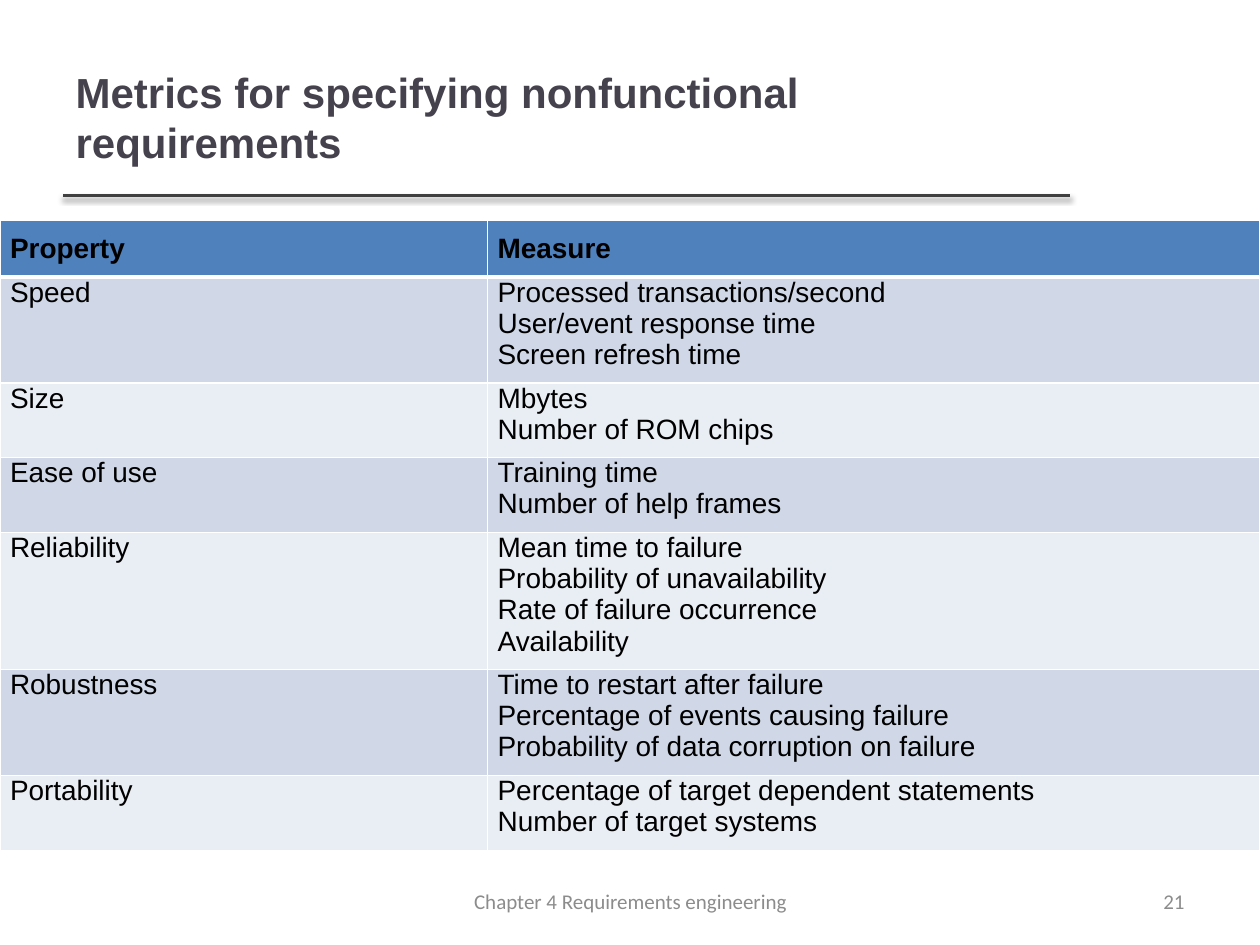
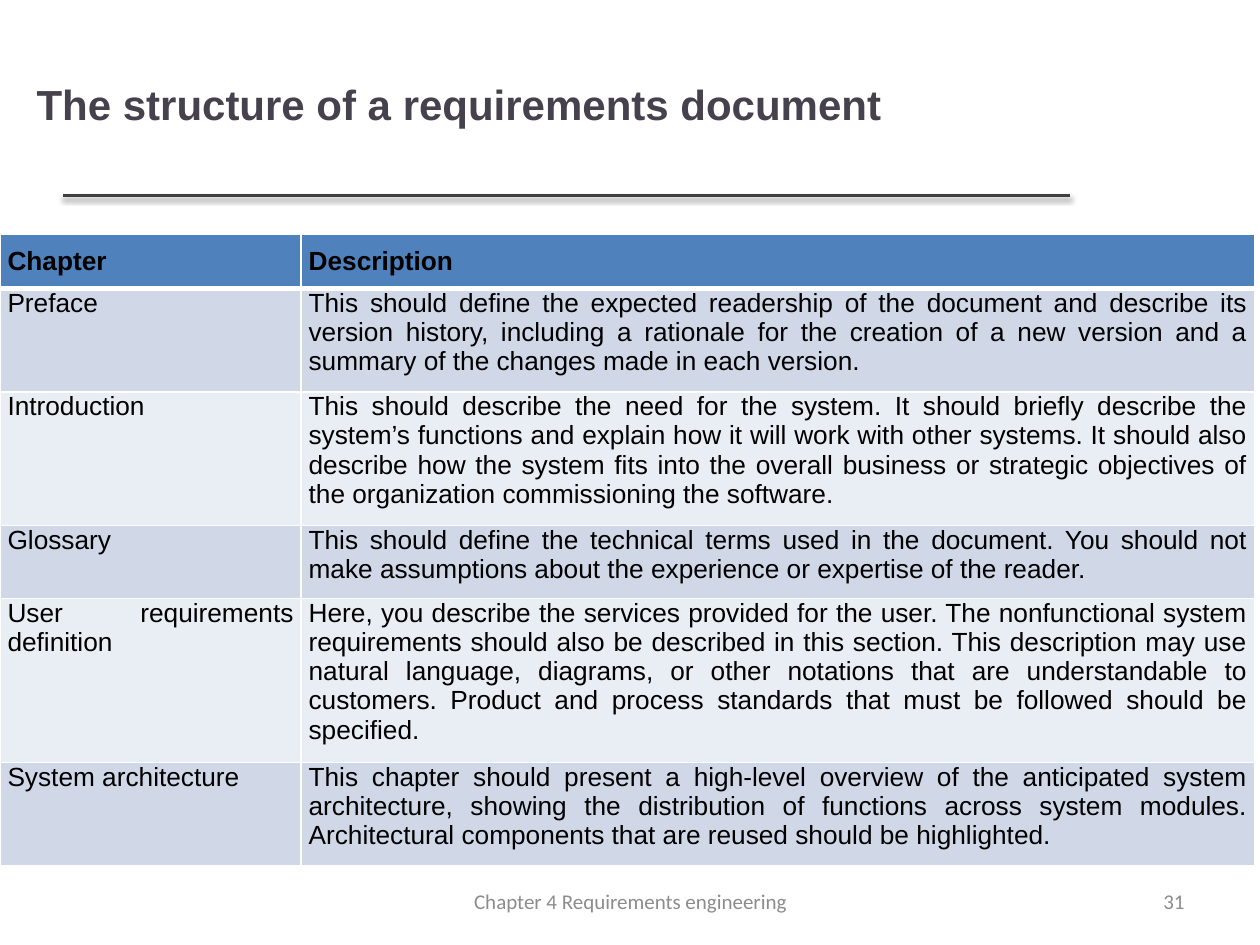
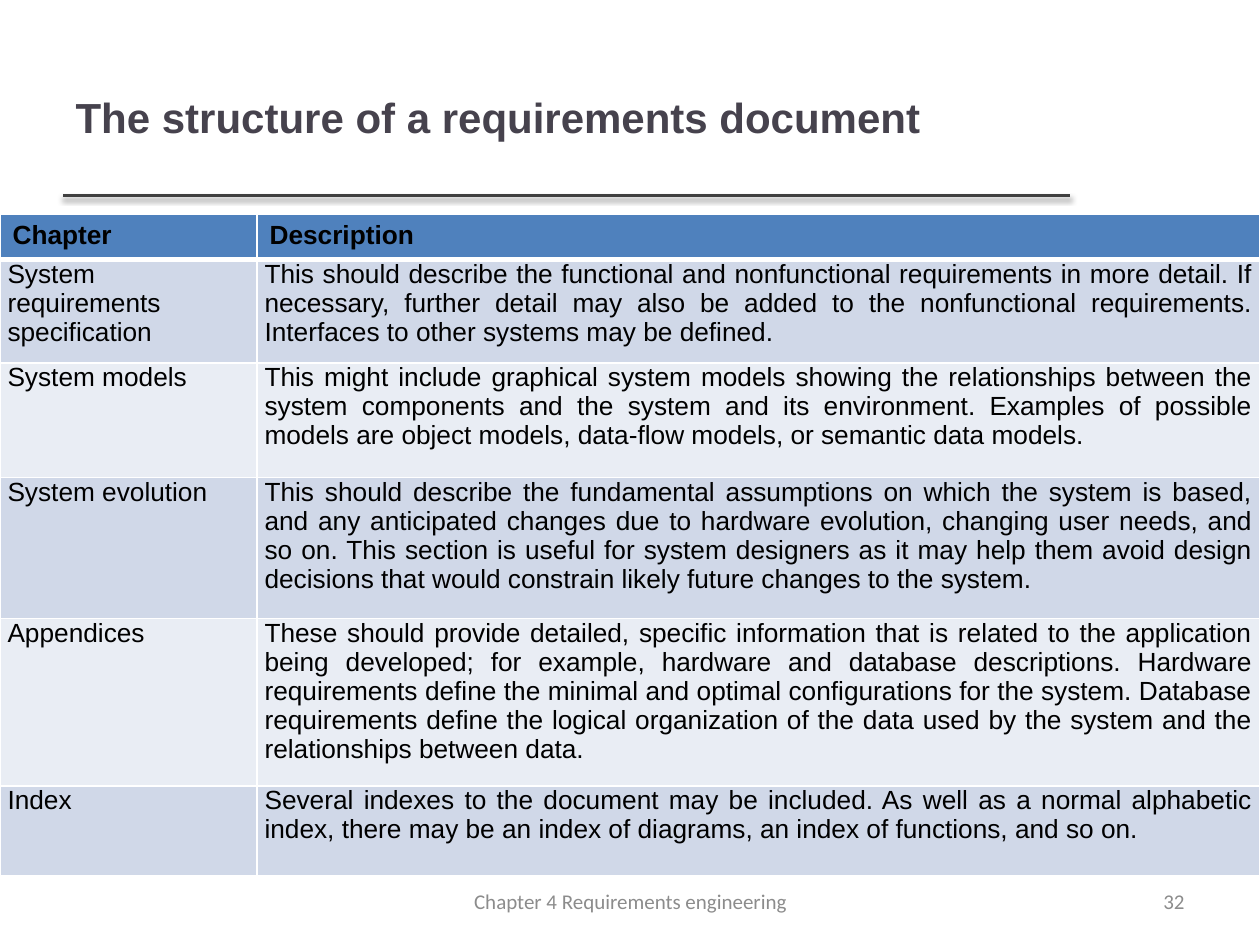
"""Build three slides of tables on requirements engineering."""
import lxml.etree
import pptx
import pptx.dml.color
import pptx.enum.shapes
import pptx.enum.text
import pptx.oxml
import pptx.oxml.ns
import pptx.util

Inches, Pt = pptx.util.Inches, pptx.util.Pt
ALIGN, ANCHOR = pptx.enum.text.PP_ALIGN, pptx.enum.text.MSO_ANCHOR
qn = pptx.oxml.ns.qn

COLOURS = {
    "title": "46424D",
    "rule": "404040",
    "header": "4F81BD",
    "odd": "D0D8E8",
    "even": "E9EDF4",
    "border": "FFFFFF",
    "text": "000000",
    "footer": "8C8C8C",
}
RULE_SHADOW = (
    f'<a:effectLst {pptx.oxml.ns.nsdecls("a")}>'
    '<a:outerShdw blurRad="40000" dist="20000" dir="5400000" rotWithShape="0">'
    '<a:srgbClr val="000000"><a:alpha val="38000"/></a:srgbClr>'
    "</a:outerShdw></a:effectLst>"
)
FOOTER_TOP, FOOTER_HEIGHT = 6.95, 0.4
TITLE_BOX = (0.5, 0.3, 7.98, 1.25)

SLIDES = [
    {
        "title": "Metrics for specifying nonfunctional requirements",
        "title_box": TITLE_BOX,
        "number": 21,
        "top": 1.75,
        "columns": (3.87, 6.13),
        "heights": (0.43, 0.75, 0.53, 0.53, 0.96, 0.75, 0.53),
        "size": 16,
        "side_margin": 0.08,
        "header_margins": (0.08, 0.1),
        "header_align": ALIGN.JUSTIFY,
        "rows": [
            ("Property", "Measure"),
            ("Speed", "Processed transactions/second\nUser/event response time\nScreen refresh time"),
            ("Size", "Mbytes\nNumber of ROM chips"),
            ("Ease of use", "Training time\nNumber of help frames"),
            ("Reliability", "Mean time to failure\nProbability of unavailability\n"
             "Rate of failure occurrence\nAvailability"),
            ("Robustness", "Time to restart after failure\nPercentage of events causing failure\n"
             "Probability of data corruption on failure"),
            ("Portability", "Percentage of target dependent statements\nNumber of target systems"),
        ],
    },
    {
        "title": "The structure of a requirements document",
        "title_box": (0.19, 0.23, 8.06, 1.19),
        "number": 31,
        "top": 1.86,
        "columns": (2.39, 7.57),
        "heights": (0.43, 0.82, 1.06, 0.58, 1.3, 0.82),
        "size": 15,
        "side_margin": 0.06,
        "header_margins": (0.06, 0.1),
        "header_align": ALIGN.JUSTIFY,
        "rows": [
            ("Chapter", "Description"),
            ("Preface", "This should define the expected readership of the document and describe its "
             "version history, including a rationale for the creation of a new version and a "
             "summary of the changes made in each version."),
            ("Introduction", "This should describe the need for the system. It should briefly describe "
             "the system’s functions and explain how it will work with other systems. It should also "
             "describe how the system fits into the overall business or strategic objectives of "
             "the organization commissioning the software."),
            ("Glossary", "This should define the technical terms used in the document. You should not "
             "make assumptions about the experience or expertise of the reader."),
            ("User requirements definition", "Here, you describe the services provided for the user. "
             "The nonfunctional system requirements should also be described in this section. This "
             "description may use natural language, diagrams, or other notations that are "
             "understandable to customers. Product and process standards that must be followed "
             "should be specified."),
            ("System architecture", "This chapter should present a high-level overview of the "
             "anticipated system architecture, showing the distribution of functions across system "
             "modules. Architectural components that are reused should be highlighted."),
        ],
    },
    {
        "title": "The structure of a requirements document",
        "title_box": TITLE_BOX,
        "number": 32,
        "top": 1.7,
        "columns": (2.04, 7.96),
        "heights": (0.36, 0.82, 0.91, 1.12, 1.33, 0.71),
        "size": 15,
        "side_margin": 0.06,
        "header_margins": (0.1, 0.05),
        "header_align": ALIGN.LEFT,
        "rows": [
            ("Chapter", "Description"),
            ("System requirements specification", "This should describe the functional and "
             "nonfunctional requirements in more detail. If necessary, further detail may also be "
             "added to the nonfunctional requirements. Interfaces to other systems may be defined."),
            ("System models", "This might include graphical system models showing the relationships "
             "between the system components and the system and its environment. Examples of possible "
             "models are object models, data-flow models, or semantic data models."),
            ("System evolution", "This should describe the fundamental assumptions on which the system "
             "is based, and any anticipated changes due to hardware evolution, changing user needs, and "
             "so on. This section is useful for system designers as it may help them avoid design "
             "decisions that would constrain likely future changes to the system."),
            ("Appendices", "These should provide detailed, specific information that is related to the "
             "application being developed; for example, hardware and database descriptions. Hardware "
             "requirements define the minimal and optimal configurations for the system. Database "
             "requirements define the logical organization of the data used by the system and the "
             "relationships between data."),
            ("Index", "Several indexes to the document may be included. As well as a normal alphabetic "
             "index, there may be an index of diagrams, an index of functions, and so on."),
        ],
    },
]


def write(frame, text, size, colour, align, font="Arial", bold=False):
    """Write one paragraph for each line of the text."""
    frame.word_wrap = True
    for index, line in enumerate(text.split("\n")):
        paragraph = frame.add_paragraph() if index else frame.paragraphs[0]
        paragraph.alignment = align
        run = paragraph.add_run()
        run.text = line
        run.font.name, run.font.size, run.font.bold = font, Pt(size), bold
        run.font.color.rgb = pptx.dml.color.RGBColor.from_string(COLOURS[colour])


def add_borders(cell, top, bottom):
    """Draw the four borders of a cell, with the given top and bottom widths."""
    properties = cell._tc.get_or_add_tcPr()
    for side, width in (("L", 1), ("R", 1), ("T", top), ("B", bottom)):
        border = lxml.etree.SubElement(properties, qn(f"a:ln{side}"), w=str(Pt(width)))
        fill = lxml.etree.SubElement(border, qn("a:solidFill"))
        lxml.etree.SubElement(fill, qn("a:srgbClr"), val=COLOURS["border"])


deck = pptx.Presentation()
deck.slide_width, deck.slide_height = Inches(10), Inches(7.5)

for content in SLIDES:
    slide = deck.slides.add_slide(deck.slide_layouts[5])

    rule = slide.shapes.add_connector(
        pptx.enum.shapes.MSO_CONNECTOR.STRAIGHT, Inches(0.5), Inches(1.55), Inches(8.49), Inches(1.55))
    rule.line.color.rgb = pptx.dml.color.RGBColor.from_string(COLOURS["rule"])
    rule.line.width = Pt(2)
    rule._element.spPr.append(pptx.oxml.parse_xml(RULE_SHADOW))

    title = slide.shapes.title
    title.left, title.top, title.width, title.height = map(Inches, content["title_box"])
    title.text_frame.auto_size = pptx.enum.text.MSO_AUTO_SIZE.NONE
    title.text_frame.vertical_anchor = ANCHOR.MIDDLE
    write(title.text_frame, content["title"], 24, "title", ALIGN.LEFT, bold=True)

    table = slide.shapes.add_table(
        len(content["rows"]), 2, 0, Inches(content["top"]),
        Inches(sum(content["columns"])), Inches(sum(content["heights"]))).table
    table.horz_banding = False
    for column, width in zip(table.columns, content["columns"]):
        column.width = Inches(width)
    for index, (row, height, texts) in enumerate(zip(table.rows, content["heights"], content["rows"])):
        row.height = Inches(height)
        is_header = index == 0
        band = "header" if is_header else "odd" if index % 2 else "even"
        side, bottom = content["header_margins"] if is_header else (content["side_margin"], 0.1)
        for cell, text in zip(row.cells, texts):
            add_borders(cell, 3 if index == 1 else 1, 3 if is_header else 1)
            cell.fill.solid()
            cell.fill.fore_color.rgb = pptx.dml.color.RGBColor.from_string(COLOURS[band])
            cell.margin_left = cell.margin_right = Inches(side)
            cell.margin_top = Inches(bottom if is_header else 0)
            cell.margin_bottom = Inches(bottom)
            align = content["header_align"] if is_header else ALIGN.JUSTIFY
            write(cell.text_frame, text, content["size"], "text", align, bold=is_header)

    for left, width, text, align in (
        (7.17, 2.33, str(content["number"]), ALIGN.RIGHT),
        (3.42, 3.17, "Chapter 4 Requirements engineering", ALIGN.CENTER),
    ):
        footer = slide.shapes.add_textbox(
            Inches(left), Inches(FOOTER_TOP), Inches(width), Inches(FOOTER_HEIGHT)).text_frame
        footer.vertical_anchor = ANCHOR.MIDDLE
        write(footer, text, 12, "footer", align, font="Calibri")

deck.save("out.pptx")
